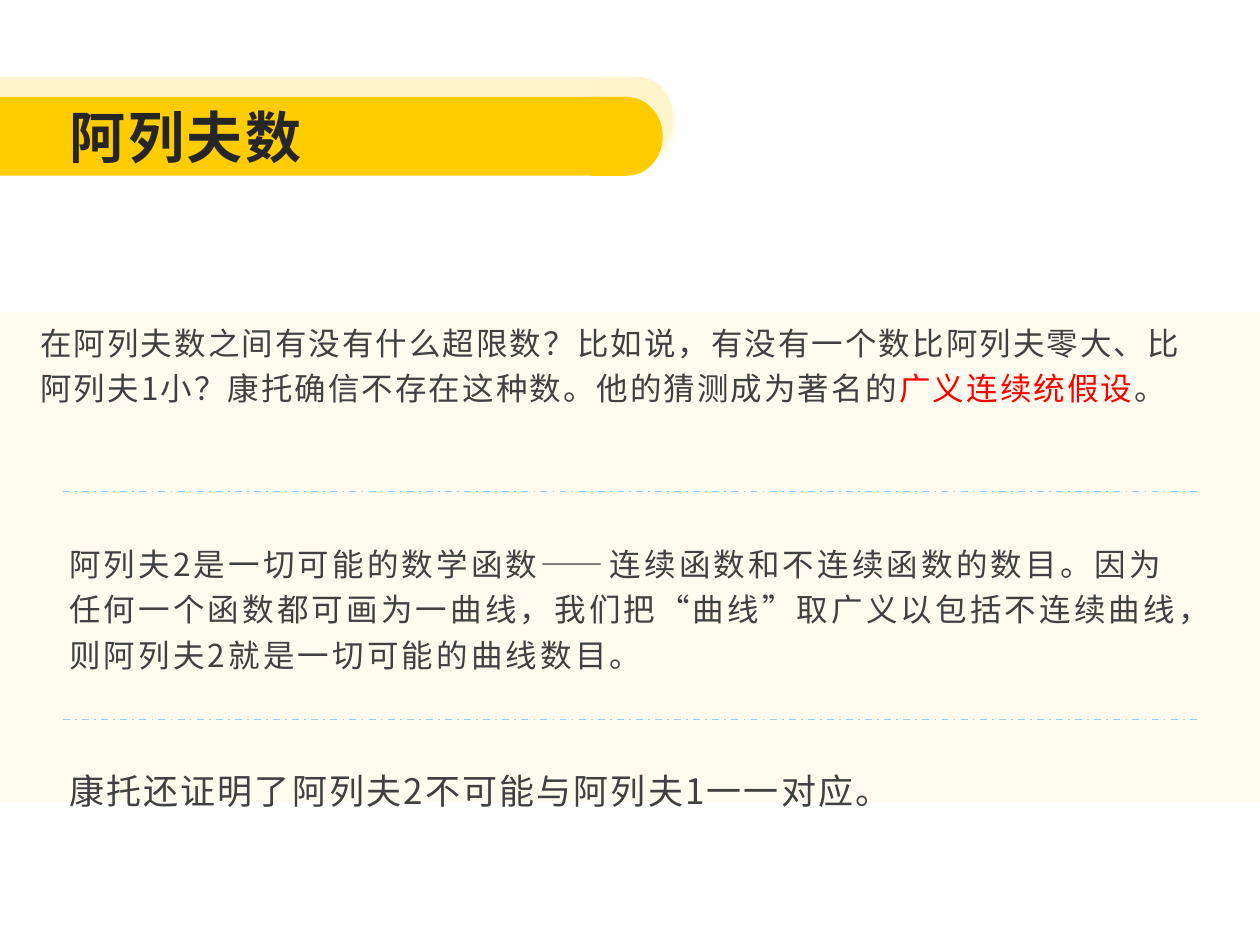
from dataclasses import dataclass

from lxml import etree
from pptx import Presentation
from pptx import util as u
from pptx.dml import color
from pptx.enum import dml, shapes, text
from pptx.oxml import ns


@dataclass(frozen=True)
class Theme:
    """Colours, font and type sizes of the slide."""
    font: str = "Noto Sans CJK SC"
    pale: str = "FFF5CC"
    yellow: str = "FFCC00"
    rule: str = "87D2FF"
    title: str = "262626"
    body: str = "404040"
    accent: str = "FF0000"
    title_size: int = 32
    body_size: int = 18
    closing_size: int = 20


class SlideBuilder:
    """Draws styled elements on a slide divided into 40 columns and 30 rows."""

    def __init__(self, presentation, theme):
        """Add a blank slide and work out the grid cell."""
        self.theme = theme
        self.slide = presentation.slides.add_slide(presentation.slide_layouts[6])
        self.column = presentation.slide_width / 40
        self.row = presentation.slide_height / 30

    def box(self, left, top, width, height):
        """Turn grid units into slide lengths."""
        return (round(left * self.column), round(top * self.row),
                round(width * self.column), round(height * self.row))

    def block(self, kind, area, fill, alpha=None):
        """Add a plain filled shape, optionally transparent."""
        shape = self.slide.shapes.add_shape(kind, *self.box(*area))
        shape.shadow.inherit = False
        shape.fill.solid()
        shape.fill.fore_color.rgb = color.RGBColor.from_string(fill)
        shape.line.fill.background()
        if alpha is not None:
            tint = shape._element.spPr.find(".//" + ns.qn("a:srgbClr"))
            etree.SubElement(tint, ns.qn("a:alpha"), val=str(alpha * 1000))
        return shape

    def glow(self, shape, fill):
        """Give a shape a soft shadow that falls straight down."""
        effects = shape._element.spPr.find(ns.qn("a:effectLst"))
        distance = str(u.Pt(4))
        shadow = etree.SubElement(effects, ns.qn("a:outerShdw"), blurRad=distance,
                                  dist=distance, dir="5400000", rotWithShape="0")
        etree.SubElement(shadow, ns.qn("a:srgbClr"), val=fill)

    def banner(self, right, top, height, fill, glowing=False):
        """Add a bar from the left edge that ends in a round cap."""
        cap = 2.28
        parts = (
            (shapes.MSO_SHAPE.RECTANGLE, (0, top, right - cap / 2, height)),
            (shapes.MSO_SHAPE.FLOWCHART_DELAY, (right - cap, top, cap, height)),
        )
        for kind, area in parts:
            shape = self.block(kind, area, fill)
            if glowing:
                self.glow(shape, fill)

    def divider(self, row):
        """Add a dash-dot rule between the side margins."""
        left, top, width, _ = self.box(2, row, 36, 0)
        line = self.slide.shapes.add_connector(
            shapes.MSO_CONNECTOR.STRAIGHT, left, top, left + width, top)
        line.line.color.rgb = color.RGBColor.from_string(self.theme.rule)
        line.line.width = u.Pt(1)
        line.line.dash_style = dml.MSO_LINE.DASH_DOT
        etree.SubElement(line._element.spPr, ns.qn("a:effectLst"))

    def words(self, area, pieces, size, tracking, spacing=1.0, after=8, bold=False):
        """Add one paragraph made of (words, colour) pieces."""
        frame = self.slide.shapes.add_textbox(*self.box(*area)).text_frame
        frame.word_wrap = True
        frame.vertical_anchor = text.MSO_ANCHOR.MIDDLE
        frame.margin_left = frame.margin_right = u.Inches(0.05)
        frame.margin_top = frame.margin_bottom = u.Inches(0.02)
        paragraph = frame.paragraphs[0]
        paragraph.line_spacing = spacing
        paragraph.space_after = u.Pt(after)
        for content, shade in pieces:
            run = paragraph.add_run()
            run.text = content
            run.font.size = u.Pt(size)
            run.font.bold = bold
            run.font.name = self.theme.font
            run.font.color.rgb = color.RGBColor.from_string(shade)
            properties = run._r.get_or_add_rPr()
            properties.set("spc", str(round(tracking * 100)))
            etree.SubElement(properties, ns.qn("a:ea"), typeface=self.theme.font)


def main():
    """Build and save the slide."""
    presentation = Presentation()
    presentation.slide_width = u.Inches(10)
    presentation.slide_height = u.Inches(7.5)
    theme = Theme()
    builder = SlideBuilder(presentation, theme)

    builder.banner(21.36, 2.44, 2.5, theme.pale, glowing=True)
    builder.block(shapes.MSO_SHAPE.RECTANGLE, (0, 9.92, 40, 15.52), theme.pale, alpha=30)
    for row in (15.6, 22.84):
        builder.divider(row)
    builder.banner(21.04, 3.08, 2.5, theme.yellow)

    builder.words((1.08, 8.88, 36.92, 5.2), [
        ("在阿列夫数之间有没有什么超限数？比如说，有没有一个数比阿列夫零大、"
         "比阿列夫1小？康托确信不存在这种数。他的猜测成为著名的", theme.body),
        ("广义连续统假设", theme.accent),
        ("。", theme.body),
    ], theme.body_size, 1.2, spacing=1.2)
    builder.words((2, 17, 36, 4.44), [
        ("阿列夫2是一切可能的数学函数——连续函数和不连续函数的数目。"
         "因为任何一个函数都可画为一曲线，我们把“曲线”取广义以包括不连续曲线，"
         "则阿列夫2就是一切可能的曲线数目。", theme.body),
    ], theme.body_size, 1.8, spacing=1.2)
    builder.words((2, 23.92, 36, 2.36), [
        ("康托还证明了阿列夫2不可能与阿列夫1一一对应。", theme.body),
    ], theme.closing_size, 1.2)
    builder.words((2, 3.08, 17.6, 2.5), [("阿列夫数", theme.title)],
                  theme.title_size, 1.6, after=0, bold=True)

    presentation.save("out.pptx")


if __name__ == "__main__":
    main()
